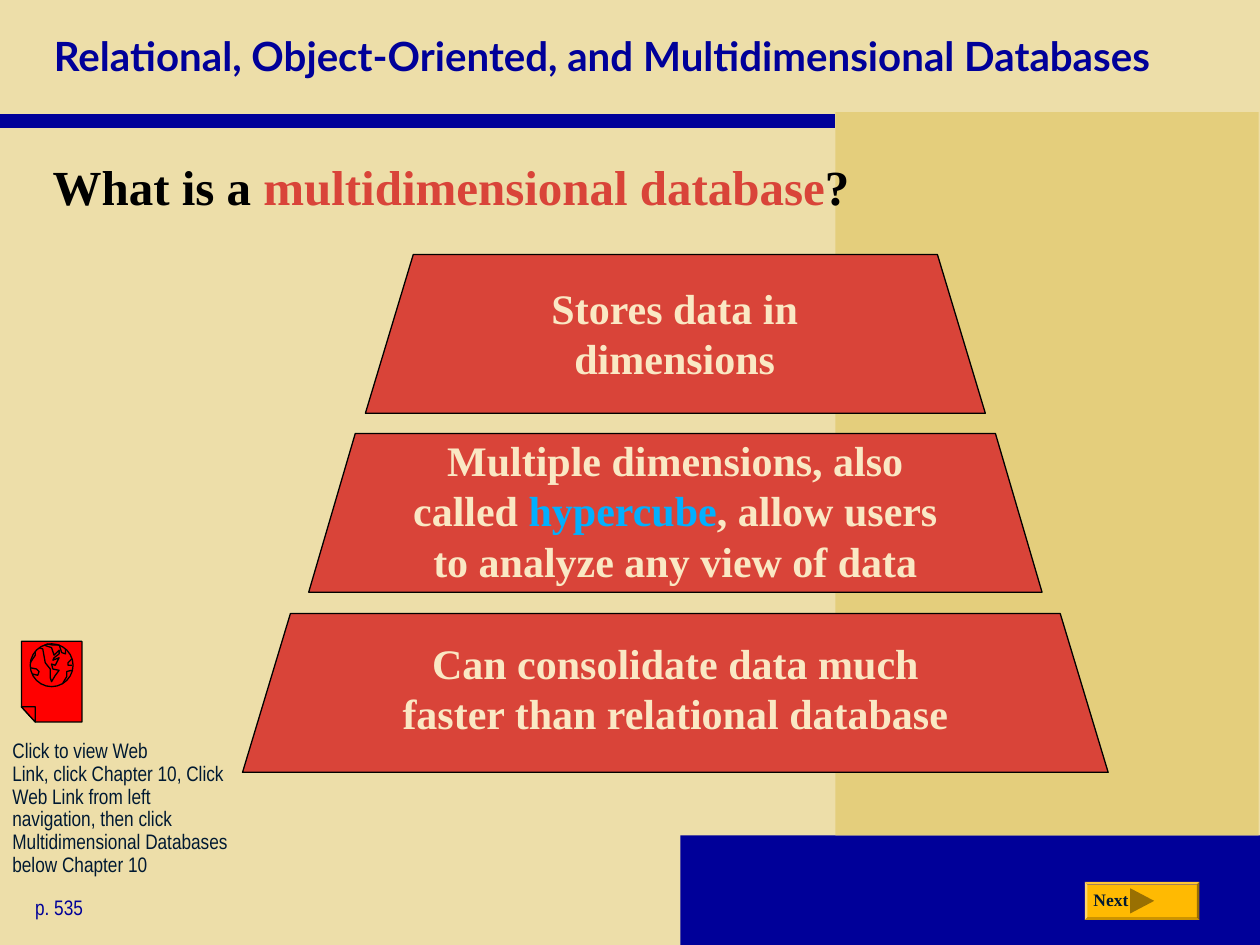
from dataclasses import dataclass

from lxml import etree
from pptx import Presentation
from pptx import util as u
from pptx.dml.color import RGBColor
from pptx.enum import shapes, text
from pptx.oxml import ns

NAVY = RGBColor(0x00, 0x00, 0x99)
SAND = RGBColor(0xED, 0xDE, 0xA9)
GOLD = RGBColor(0xE4, 0xCE, 0x7C)
RED = RGBColor(0xD9, 0x44, 0x39)
BLACK = RGBColor(0x00, 0x00, 0x00)
INK = RGBColor(0x00, 0x19, 0x32)
CREAM = RGBColor(0xFA, 0xE8, 0xC4)
BLUE = RGBColor(0x01, 0xB0, 0xFF)
AMBER = RGBColor(0xFF, 0xBA, 0x02)
BROWN = RGBColor(0x99, 0x70, 0x02)
PAGE_RED = RGBColor(0xFF, 0x00, 0x00)
SERIF = "Times New Roman"
NARROW = "Arial Narrow"

Point = tuple[float, float]


@dataclass(frozen=True)
class Box:
    left: float
    top: float
    width: float
    height: float

    def lengths(self) -> list[u.Length]:
        return [u.Inches(n) for n in (self.left, self.top, self.width, self.height)]


@dataclass(frozen=True)
class Style:
    font: str
    size: float
    bold: bool = False
    align: text.PP_ALIGN = text.PP_ALIGN.LEFT
    anchor: text.MSO_ANCHOR = text.MSO_ANCHOR.TOP
    spacing: float = 1.0
    wrap: bool = True


@dataclass(frozen=True)
class Span:
    words: str
    color: RGBColor
    break_after: bool = False


@dataclass(frozen=True)
class Tier:
    top: float
    width: float
    slant: float
    label: Box
    spans: list[Span]


TITLE = Style("Lato", 23, True, anchor=text.MSO_ANCHOR.MIDDLE)
QUESTION = Style(SERIF, 28, True)
TIER = Style(SERIF, 24, True, text.PP_ALIGN.CENTER)
CAPTION = Style(NARROW, 12, spacing=0.9)
PAGE_NUMBER = Style(NARROW, 12)
BUTTON = Style(SERIF, 10, True, wrap=False)

TIER_CENTER = 5.36
TIER_HEIGHT = 1.26
TIERS = [
    Tier(2.02, 4.92, 0.38, Box(3.53, 2.19, 3.65, 0.9),
         [Span("Stores data in dimensions", CREAM)]),
    Tier(3.44, 5.82, 0.37, Box(3.03, 3.4, 4.66, 1.3),
         [Span("Multiple dimensions, also called ", CREAM),
          Span("hypercube", BLUE),
          Span(", allow users to analyze any view of data", CREAM)]),
    Tier(4.87, 6.87, 0.38, Box(3.03, 5.01, 4.66, 0.9),
         [Span("Can consolidate data much faster than relational database", CREAM)]),
]
CAPTION_LINES = [
    "Click to view Web",
    "Link, click Chapter 10, Click",
    "Web Link from left",
    "navigation, then click",
    "Multidimensional Databases below Chapter 10",
]
COASTS: list[list[Point]] = [
    [(0.24, 5.26), (0.26, 5.23), (0.28, 5.2), (0.28, 5.17)],
    [(0.24, 5.3), (0.29, 5.31), (0.31, 5.33), (0.3, 5.36), (0.26, 5.35)],
    [(0.5, 5.42), (0.53, 5.37), (0.53, 5.33), (0.57, 5.32)],
    [(0.57, 5.28), (0.54, 5.28), (0.54, 5.26), (0.57, 5.23)],
    [(0.37, 5.11), (0.42, 5.12), (0.47, 5.12), (0.49, 5.18), (0.52, 5.19), (0.52, 5.15)],
    [(0.31, 5.14), (0.34, 5.15), (0.36, 5.26), (0.4, 5.31), (0.4, 5.38), (0.41, 5.41),
     (0.44, 5.36), (0.47, 5.32), (0.42, 5.31), (0.41, 5.27), (0.44, 5.28), (0.46, 5.24),
     (0.47, 5.22), (0.42, 5.24), (0.43, 5.22), (0.47, 5.19), (0.47, 5.16), (0.43, 5.2),
     (0.41, 5.14), (0.35, 5.12)],
]


def paint(shape, fill: RGBColor | None, line: RGBColor | None = None) -> None:
    shape.shadow.inherit = False
    if fill is None:
        shape.fill.background()
    else:
        shape.fill.solid()
        shape.fill.fore_color.rgb = fill
    if line is None:
        shape.line.fill.background()
    else:
        shape.line.color.rgb = line
        shape.line.width = u.Pt(0.75)


def add_preset(slide, kind: shapes.MSO_SHAPE, box: Box, fill: RGBColor,
               line: RGBColor | None = None):
    shape = slide.shapes.add_shape(kind, *box.lengths())
    paint(shape, fill, line)
    return shape


def add_outline(slide, points: list[Point], fill: RGBColor | None,
                line: RGBColor | None = None, close: bool = True) -> None:
    start, *rest = [(u.Inches(x), u.Inches(y)) for x, y in points]
    builder = slide.shapes.build_freeform(*start)
    builder.add_line_segments(rest, close=close)
    paint(builder.convert_to_shape(), fill, line)


def add_text(slide, box: Box, style: Style, spans: list[Span]) -> None:
    frame = slide.shapes.add_textbox(*box.lengths()).text_frame
    frame.word_wrap = style.wrap
    frame.vertical_anchor = style.anchor
    paragraph = frame.paragraphs[0]
    paragraph.alignment = style.align
    paragraph.line_spacing = style.spacing
    for span in spans:
        run = paragraph.add_run()
        run.text = span.words
        run.font.name = style.font
        run.font.size = u.Pt(style.size)
        run.font.bold = style.bold
        run.font.color.rgb = span.color
        if span.break_after:
            paragraph.add_line_break()


def add_rule(slide, start: Point, end: Point, color: RGBColor, width: float) -> None:
    rule = slide.shapes.add_connector(
        shapes.MSO_CONNECTOR.STRAIGHT, *[u.Inches(n) for n in (*start, *end)])
    rule.line.color.rgb = color
    rule.line.width = u.Pt(width)
    etree.SubElement(rule._element.spPr, ns.qn("a:effectLst"))


def add_tier(slide, tier: Tier) -> None:
    left = TIER_CENTER - tier.width / 2
    right = TIER_CENTER + tier.width / 2
    bottom = tier.top + TIER_HEIGHT
    corners = [(left, bottom), (left + tier.slant, tier.top),
               (right - tier.slant, tier.top), (right, bottom)]
    add_outline(slide, corners, RED, BLACK)
    add_text(slide, tier.label, TIER, tier.spans)


def add_web_icon(slide) -> None:
    page = [(0.28, 5.73), (0.17, 5.61), (0.17, 5.09), (0.65, 5.09), (0.65, 5.73)]
    add_outline(slide, page, PAGE_RED, BLACK)
    add_outline(slide, [(0.17, 5.61), (0.28, 5.61), (0.28, 5.73)], PAGE_RED, BLACK)
    add_preset(slide, shapes.MSO_SHAPE.OVAL, Box(0.24, 5.11, 0.34, 0.34), PAGE_RED, BLACK)
    for coast in COASTS:
        add_outline(slide, coast, None, BLACK, close=False)


def add_next_button(slide) -> None:
    button = add_preset(slide, shapes.MSO_SHAPE.BEVEL, Box(8.61, 7, 0.91, 0.3), AMBER)
    button.adjustments[0] = 0.07
    add_outline(slide, [(8.97, 7.05), (9.16, 7.15), (8.97, 7.25)], BROWN)
    add_text(slide, Box(8.58, 7.01, 0.51, 0.27), BUTTON, [Span("Next", INK)])


def main() -> None:
    presentation = Presentation()
    presentation.slide_width = u.Inches(10)
    presentation.slide_height = u.Inches(7.5)
    slide = presentation.slides.add_slide(presentation.slide_layouts[6])
    slide.background.fill.solid()
    slide.background.fill.fore_color.rgb = SAND

    add_preset(slide, shapes.MSO_SHAPE.RECTANGLE, Box(5.4, 6.63, 4.6, 0.87), NAVY)
    add_preset(slide, shapes.MSO_SHAPE.RECTANGLE, Box(6.63, 0.89, 3.36, 5.74), GOLD)
    add_rule(slide, (0, 0.96), (6.63, 0.96), NAVY, 8)
    add_text(slide, Box(0.32, 1.19, 9.39, 0.66), QUESTION,
             [Span("What is a ", BLACK), Span("multidimensional database", RED),
              Span("?", BLACK)])
    add_text(slide, Box(0.33, 0, 9.67, 0.88), TITLE,
             [Span("Relational, Object-Oriented, and Multidimensional Databases", NAVY)])
    add_text(slide, Box(0.18, 7.05, 1.69, 0.3), PAGE_NUMBER, [Span("p. 535", NAVY)])
    add_next_button(slide)
    for tier in TIERS:
        add_tier(slide, tier)
    add_text(slide, Box(0, 5.83, 2.17, 0.67), CAPTION,
             [Span(line, INK, line != CAPTION_LINES[-1]) for line in CAPTION_LINES])
    add_web_icon(slide)
    presentation.save("out.pptx")


if __name__ == "__main__":
    main()
